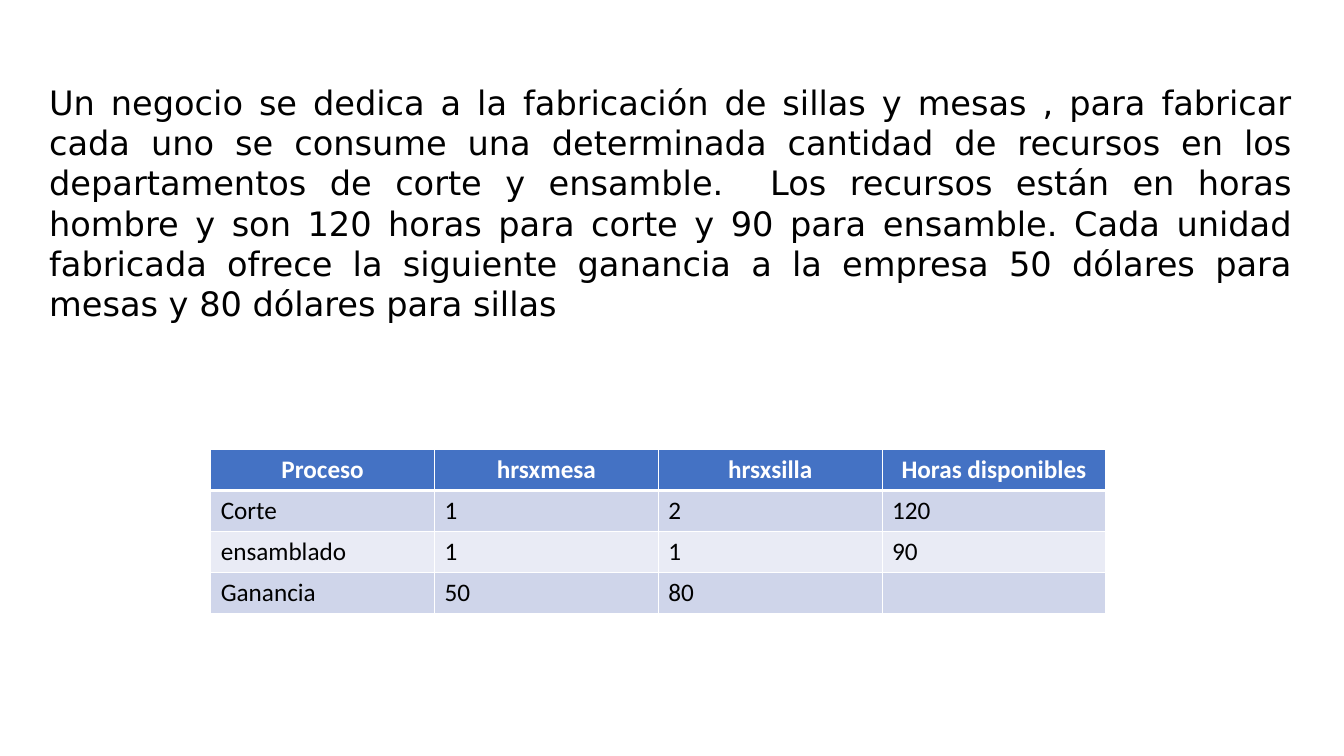
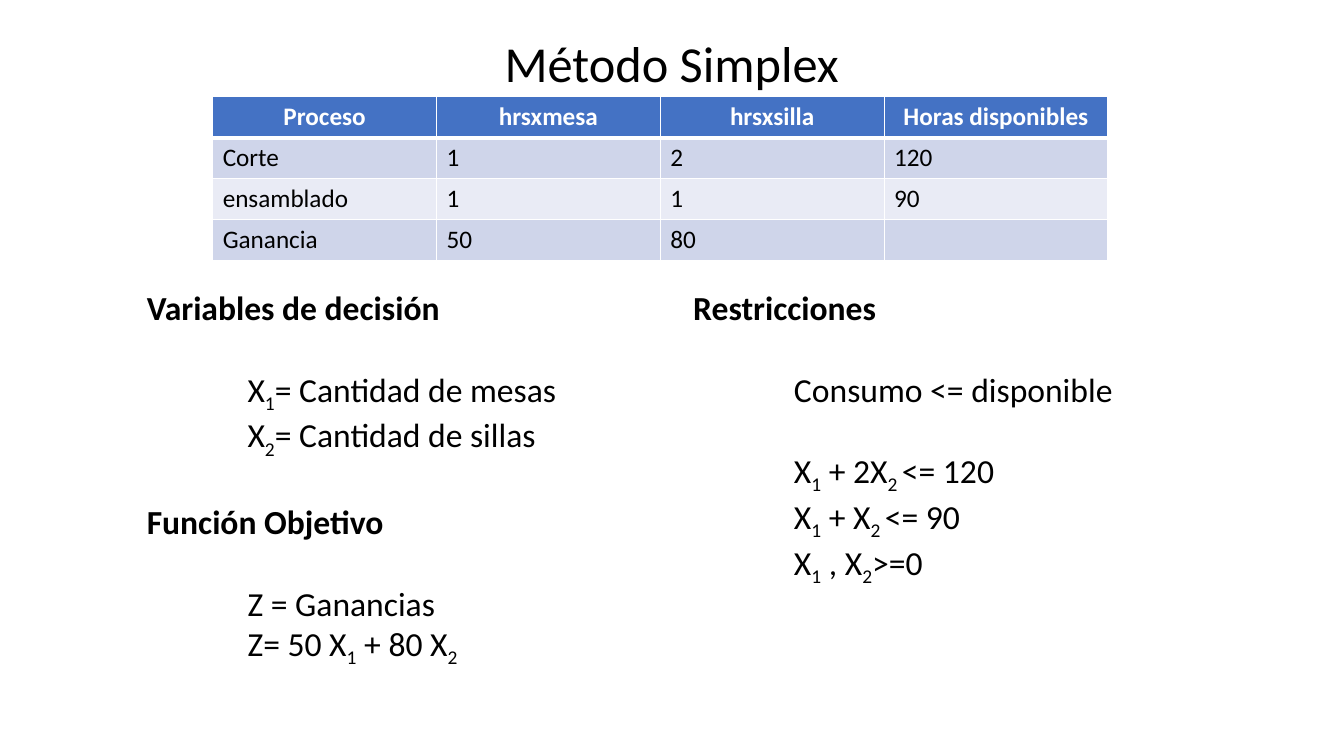
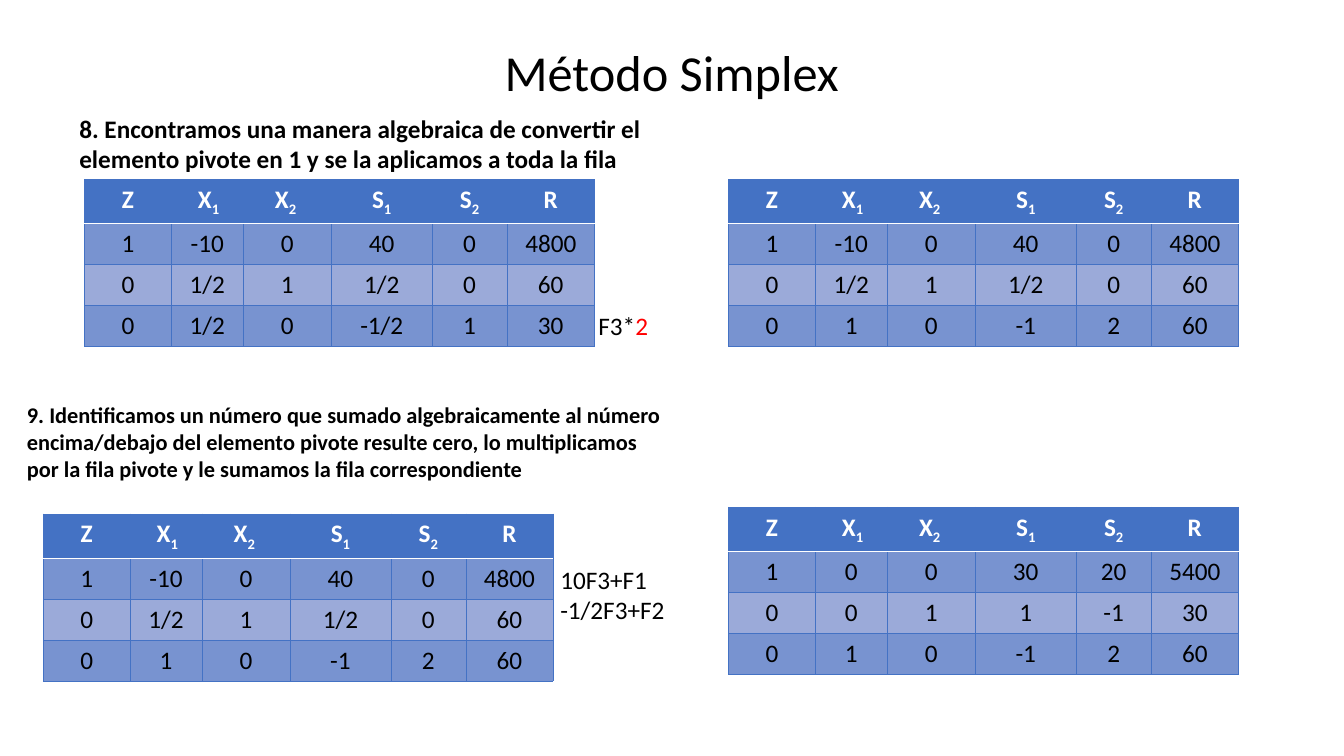
from pptx import Presentation
from pptx import util as u
from pptx.dml.color import RGBColor
from pptx.enum import text
from pptx.oxml import parse_xml
from pptx.oxml.ns import nsdecls

FONT = "Calibri"
BLACK, WHITE, RED, BLUE = "000000", "FFFFFF", "FF0000", "4472C4"
PROCESS_BANDS = ("CFD5EA", "E9EBF5")
SIMPLEX_BANDS = ("7893D0", "9BAAD9")
LEFT, CENTER, JUSTIFY = text.PP_ALIGN.LEFT, text.PP_ALIGN.CENTER, text.PP_ALIGN.JUSTIFY

ROW_HEIGHT = 1.03
BLANK_LINE = 29.3
DETAIL_INDENT = 2.54

PROCESS_COLUMNS = [5.64] * 4
PROCESS_ROWS = [
    ["Proceso", "hrsxmesa", "hrsxsilla", "Horas disponibles"],
    ["Corte", "1", "2", "120"],
    ["ensamblado", "1", "1", "90"],
    ["Ganancia", "50", "80", ""],
]
SIMPLEX_COLUMNS = [2.19, 1.81, 2.22, 2.54, 1.89, 2.2]
SIMPLEX_HEADER = ["Z", " X|1 ", "X|2 ", "S|1", "S|2", "R"]
PIVOT_ROW = ["0", "1", "0", "-1", "2", "60"]
FIRST_ROWS = [["1", "-10", "0", "40", "0", "4800"], ["0", "1/2", "1", "1/2", "0", "60"]]
BEFORE_PIVOT = FIRST_ROWS + [["0", "1/2", "0", "-1/2", "1", "30"]]
AFTER_PIVOT = FIRST_ROWS + [PIVOT_ROW]
FINAL_ROWS = [["1", "0", "0", "30", "20", "5400"], ["0", "0", "1", "1", "-1", "30"], PIVOT_ROW]


def color(value):
    return RGBColor.from_string(value)


def write(paragraph, content, size, bold=False, ink=BLACK, align=LEFT, font=FONT):
    """Pieces between bars alternate between normal text and subscript."""
    paragraph.alignment = align
    paragraph.font.name = font
    paragraph.font.size = u.Pt(size)
    paragraph.font.bold = bold
    paragraph.font.color.rgb = color(ink)
    for index, piece in enumerate(content.split("|")):
        if piece:
            run = paragraph.add_run()
            run.text = piece
            if index % 2:
                run._r.get_or_add_rPr().set("baseline", "-25000")


def add_box(slide, box, wrap=True):
    frame = slide.shapes.add_textbox(*map(u.Cm, box)).text_frame
    frame.word_wrap = wrap
    return frame


def add_note(slide, box, lines, size=18, wrap=True, **style):
    frame = add_box(slide, box, wrap)
    for index, line in enumerate(lines):
        paragraph = frame.add_paragraph() if index else frame.paragraphs[0]
        write(paragraph, line, size, **style)
    return frame


def add_outline(slide, box, sections):
    frame = add_box(slide, box)
    paragraph = frame.paragraphs[0]
    for number, (heading, *groups) in enumerate(sections):
        if number:
            paragraph = frame.add_paragraph()
            paragraph.space_before = u.Pt(BLANK_LINE)
        write(paragraph, heading, 24, bold=True)
        for group in groups:
            for index, line in enumerate(group):
                paragraph = frame.add_paragraph()
                paragraph._p.get_or_add_pPr().set("marL", str(u.Cm(DETAIL_INDENT)))
                paragraph.space_before = u.Pt(0 if index else BLANK_LINE)
                write(paragraph, line, 24)


def add_title(slide, top):
    title = slide.shapes.title
    title.left, title.top, title.width, title.height = map(u.Cm, (12.42, top, 9.02, 1.8))
    frame = title.text_frame
    frame.word_wrap = False
    frame.auto_size = text.MSO_AUTO_SIZE.NONE
    write(frame.paragraphs[0], "Método Simplex", 36, align=CENTER)


def set_borders(cell, **borders):
    properties = cell._tc.get_or_add_tcPr()
    for side in "LRTB":
        line_color, width = borders[side]
        properties.append(parse_xml(
            f'<a:ln{side} {nsdecls("a")} w="{u.Pt(width)}"><a:solidFill>'
            f'<a:srgbClr val="{line_color}"/></a:solidFill></a:ln{side}>'))


def add_grid(slide, left, top, columns, rows, bands, border, rule, align):
    size = (left, top, sum(columns), ROW_HEIGHT * len(rows))
    table = slide.shapes.add_table(len(rows), len(columns), *map(u.Cm, size)).table
    table.horz_banding = False
    for column, width in zip(table.columns, columns):
        column.width = u.Cm(width)
    for row_index, values in enumerate(rows):
        table.rows[row_index].height = u.Cm(ROW_HEIGHT)
        header = row_index == 0
        for column_index, value in enumerate(values):
            cell = table.cell(row_index, column_index)
            set_borders(cell, L=border, R=border,
                        T=rule if row_index == 1 else border,
                        B=rule if header else border)
            cell.fill.solid()
            cell.fill.fore_color.rgb = color(BLUE if header else bands[(row_index - 1) % 2])
            write(cell.text_frame.paragraphs[0], value, 18, bold=header,
                  ink=WHITE if header else BLACK, align=CENTER if header else align)


def add_process_table(slide, left, top):
    add_grid(slide, left, top, PROCESS_COLUMNS, PROCESS_ROWS, PROCESS_BANDS,
             (WHITE, 1), (WHITE, 3), LEFT)


def add_simplex_table(slide, left, top, rows):
    add_grid(slide, left, top, SIMPLEX_COLUMNS, [SIMPLEX_HEADER] + rows, SIMPLEX_BANDS,
             (BLUE, 0.5), (WHITE, 1), CENTER)


def build_problem(slide):
    add_note(slide, (0.99, 1.93, 31.83, 6.4), [
        "Un negocio se dedica a la fabricación de sillas y mesas , para fabricar cada uno "
        "se consume una determinada cantidad de recursos en los departamentos de corte y "
        "ensamble.  Los recursos están en horas hombre y son 120 horas para corte y 90 para "
        "ensamble. Cada unidad fabricada ofrece la siguiente ganancia a la empresa 50 dólares "
        "para mesas y 80 dólares para sillas"], size=24, align=JUSTIFY, font="DejaVu Sans")
    add_process_table(slide, 5.31, 11.33)


def build_model(slide):
    add_title(slide, 0.66)
    add_process_table(slide, 5.36, 2.44)
    add_outline(slide, (3.45, 7.11, 12.7, 9.5), [
        ("Variables de decisión", ["X|1|= Cantidad de mesas", "X|2|= Cantidad de sillas"]),
        ("Función Objetivo", ["Z = Ganancias", "Z= 50 X|1| + 80 X|2"]),
    ])
    add_outline(slide, (17.22, 7.11, 12.7, 7.44), [
        ("Restricciones", ["Consumo <= disponible"],
         ["X|1| + 2X|2 |<= 120", "X|1| + X|2 |<= 90", "X|1| , X|2|>=0"]),
    ])


def build_pivot(slide):
    add_title(slide, 0.91)
    add_note(slide, (1.75, 2.72, 14.83, 1.8), [
        "8. Encontramos una manera algebraica de convertir el elemento pivote en 1 y se la "
        "aplicamos a toda la fila"], bold=True)
    factor = add_note(slide, (14.83, 7.7, 1.78, 1.37), ["F3*"], wrap=False)
    multiplier = factor.paragraphs[0].add_run()
    multiplier.text = "2"
    multiplier.font.color.rgb = color(RED)
    add_simplex_table(slide, 2.13, 4.52, BEFORE_PIVOT)
    add_simplex_table(slide, 18.36, 4.52, AFTER_PIVOT)
    add_note(slide, (0.43, 9.98, 16.59, 2.31), [
        "9. Identificamos un número que sumado algebraicamente al número encima/debajo del "
        "elemento pivote resulte cero, lo multiplicamos por la fila pivote y le sumamos la "
        "fila correspondiente"], size=16, bold=True)
    add_simplex_table(slide, 1.09, 12.95, AFTER_PIVOT)
    add_note(slide, (13.87, 14.1, 3.18, 1.8), ["10F3+F1", "-1/2F3+F2"], wrap=False)
    add_simplex_table(slide, 18.36, 12.78, FINAL_ROWS)


def main():
    presentation = Presentation()
    presentation.slide_width, presentation.slide_height = u.Cm(33.87), u.Cm(19.05)
    title_only, blank = presentation.slide_layouts[5], presentation.slide_layouts[6]
    for build, layout in ((build_problem, blank), (build_model, title_only),
                          (build_pivot, title_only)):
        build(presentation.slides.add_slide(layout))
    presentation.save("out.pptx")


if __name__ == "__main__":
    main()
